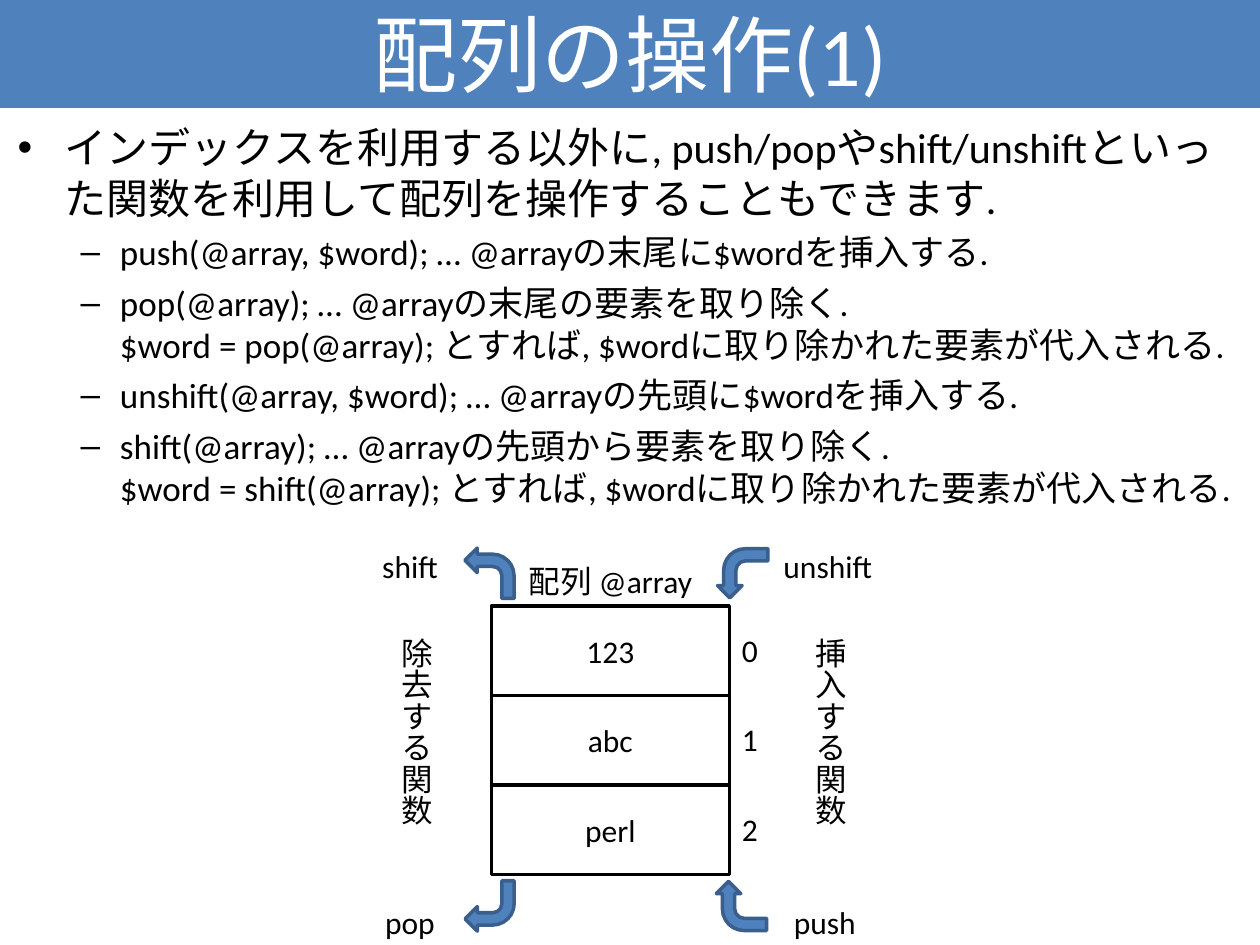
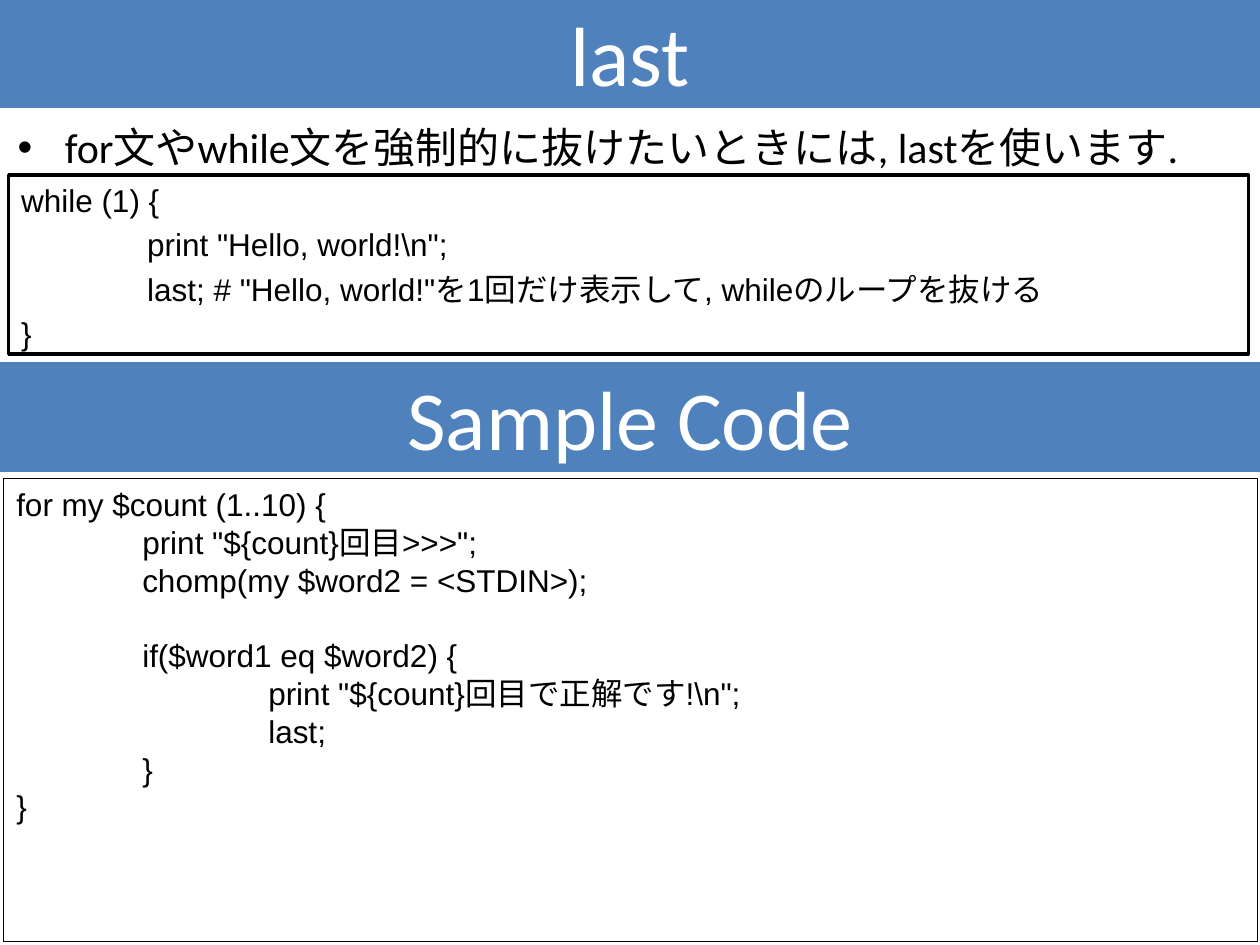
import pptx
import pptx.util
import pptx.dml.color
import pptx.enum.shapes
import pptx.enum.text
import lxml.etree

Pt = pptx.util.Pt
RGB = pptx.dml.color.RGBColor.from_string
SHAPE = pptx.enum.shapes.MSO_SHAPE
ALIGN = pptx.enum.text.PP_ALIGN
ANCHOR = pptx.enum.text.MSO_ANCHOR

COLORS = {"blue": "4F81BD", "arrow_edge": "3A5F8C", "white": "FFFFFF", "black": "000000"}
SLIDE_WIDTH, SLIDE_HEIGHT = 720, 540
BAND_HEIGHT = 60.5
LABEL_HEIGHT = 28.8


def paint(shape, fill, line, width=2):
    shape.shadow.inherit = False
    shape.fill.solid()
    shape.fill.fore_color.rgb = RGB(COLORS[fill])
    shape.line.color.rgb = RGB(COLORS[line])
    shape.line.width = Pt(width)


def write(shape, lines, size=18, font="Calibri", color="black",
          align=ALIGN.CENTER, anchor=ANCHOR.TOP, wrap=True):
    frame = shape.text_frame
    frame.word_wrap = wrap
    frame.auto_size = pptx.enum.text.MSO_AUTO_SIZE.NONE
    frame.vertical_anchor = anchor
    for index, line in enumerate(lines):
        paragraph = frame.add_paragraph() if index else frame.paragraphs[0]
        paragraph.alignment = align
        for part_index, part in enumerate(line.split("\n")):
            if part_index:
                paragraph.add_line_break()
            run = paragraph.add_run()
            run.text = part
            run.font.size = Pt(size)
            run.font.name = font
            run.font.color.rgb = RGB(COLORS[color])
    return frame.paragraphs


presentation = pptx.Presentation()
presentation.slide_width = Pt(SLIDE_WIDTH)
presentation.slide_height = Pt(SLIDE_HEIGHT)

topics = [
    ("配列の操作(1)", [
        (0, "インデックスを利用する以外に, push/popやshift/unshiftといった関数を利用して配列を操作することもできます."),
        (1, "push(@array, $word); … @arrayの末尾に$wordを挿入する."),
        (1, "pop(@array); … @arrayの末尾の要素を取り除く. \n$word = pop(@array); とすれば, $wordに取り除かれた要素が代入される."),
        (1, "unshift(@array, $word); … @arrayの先頭に$wordを挿入する."),
        (1, "shift(@array); … @arrayの先頭から要素を取り除く.\n$word = shift(@array); とすれば, $wordに取り除かれた要素が代入される."),
    ]),
    ("last", [
        (0, "for文やwhile文を強制的に抜けたいときには, lastを使います."),
    ]),
]
bullet_levels = [("•", 24, 27, 27), ("–", 20, 58.5, 22.5)]

slides = []
bands = []
for title, bullets in topics:
    slide = presentation.slides.add_slide(presentation.slide_layouts[5])
    slides.append(slide)
    bands.append((slide.shapes.title, title, 0))
    body = slide.shapes.add_textbox(Pt(3), Pt(66), Pt(714), Pt(471))
    paragraphs = write(body, [text for level, text in bullets], align=ALIGN.LEFT)
    for paragraph, (level, text) in zip(paragraphs, bullets):
        symbol, size, margin, hanging = bullet_levels[level]
        paragraph.level = level
        paragraph.space_before = Pt(size * 0.24)
        for run in paragraph.runs:
            run.font.size = Pt(size)
        properties = paragraph._p.get_or_add_pPr()
        properties.set("marL", str(Pt(margin)))
        properties.set("indent", str(Pt(-hanging)))
        bullet_font = lxml.etree.SubElement(properties, pptx.oxml.ns.qn("a:buFont"))
        bullet_font.set("typeface", "Arial")
        bullet = lxml.etree.SubElement(properties, pptx.oxml.ns.qn("a:buChar"))
        bullet.set("char", symbol)

array_slide, last_slide = slides
sample_band = last_slide.shapes.add_shape(SHAPE.RECTANGLE, 0, 0, Pt(1), Pt(1))
bands.append((sample_band, "Sample Code", 208))
for band, text, top in bands:
    band.left, band.top = Pt(0), Pt(top)
    band.width, band.height = Pt(SLIDE_WIDTH), Pt(BAND_HEIGHT)
    paint(band, "blue", "blue")
    write(band, [text], 48, color="white", anchor=ANCHOR.MIDDLE)

array_group = array_slide.shapes.add_group_shape()
array_left, array_top, cell_width, cell_height = 280.8, 346.3, 136, 51.1
for index, value in enumerate(["123", "abc", "perl"]):
    top = array_top + index * cell_height
    cell = array_group.shapes.add_shape(
        SHAPE.RECTANGLE, Pt(array_left), Pt(top), Pt(cell_width), Pt(cell_height))
    paint(cell, "white", "black")
    write(cell, [value], anchor=ANCHOR.MIDDLE)
    number = array_group.shapes.add_textbox(
        Pt(array_left + cell_width), Pt(top + 10.8), Pt(22.3), Pt(LABEL_HEIGHT))
    write(number, [str(index)], align=ALIGN.LEFT, wrap=False)
caption = array_group.shapes.add_textbox(
    Pt(array_left), Pt(array_top - LABEL_HEIGHT), Pt(cell_width), Pt(LABEL_HEIGHT))
write(caption, ["配列 @array"], wrap=False)

arrows = [
    (265.7, 313.2, 0, ["flipH"]),
    (410.4, 313.2, 270, ["flipH"]),
    (265.7, 503.3, 180, []),
    (409.7, 503.3, 90, ["flipH", "flipV"]),
]
for left, top, rotation, flips in arrows:
    arrow = array_slide.shapes.add_shape(
        SHAPE.BENT_ARROW, Pt(left), Pt(top), Pt(28.1), Pt(28.8))
    arrow.rotation = rotation
    for flip in flips:
        arrow._element.spPr.xfrm.set(flip, "1")
    paint(arrow, "blue", "arrow_edge")

function_labels = [
    ("push", 440, 512.6, 62.6),
    ("pop", 203, 512.6, 62.6),
    ("shift", 203, 308.9, 62.6),
    ("unshift", 438.5, 308.9, 69.1),
]
for name, left, top, width in function_labels:
    label = array_slide.shapes.add_textbox(Pt(left), Pt(top), Pt(width), Pt(LABEL_HEIGHT))
    write(label, [name], wrap=False)

for text, left in [("挿入する関数", 452.9), ("除去する関数", 216)]:
    side_label = array_slide.shapes.add_textbox(Pt(left), Pt(357.1), Pt(36), Pt(131))
    write(side_label, [text])
    side_label.text_frame._txBody.bodyPr.set("vert", "eaVert")

code_boxes = [
    ((5, 100.1, 708.5, 102.2), 2, 3.6, [
        (0, 'while (1) {'),
        (1, 'print "Hello, world!\\n";'),
        (1, 'last; # "Hello, world!"を1回だけ表示して, whileのループを抜ける'),
        (0, '}'),
    ]),
    ((2.2, 273.6, 716.4, 264.2), 0.5, 0, [
        (0, 'for my $count (1..10) {'),
        (1, 'print "${count}回目>>>";'),
        (1, 'chomp(my $word2 = <STDIN>);'),
        (1, 'if($word1 eq $word2) {'),
        (2, 'print "${count}回目で正解です!\\n";'),
        (2, 'last;'),
        (1, '}'),
        (0, '}'),
    ]),
]
for position, line_width, spacing, code in code_boxes:
    code_box = last_slide.shapes.add_shape(SHAPE.RECTANGLE, *map(Pt, position))
    paint(code_box, "white", "black", line_width)
    paragraphs = write(code_box, [text for depth, text in code], font="Arial", align=ALIGN.LEFT)
    for paragraph, (depth, text) in zip(paragraphs, code):
        starts_block = text.startswith("if(")
        paragraph.space_before = Pt(21.6 if starts_block else spacing)
        paragraph._p.get_or_add_pPr().set("marL", str(Pt(72 * depth)))

presentation.save("out.pptx")
